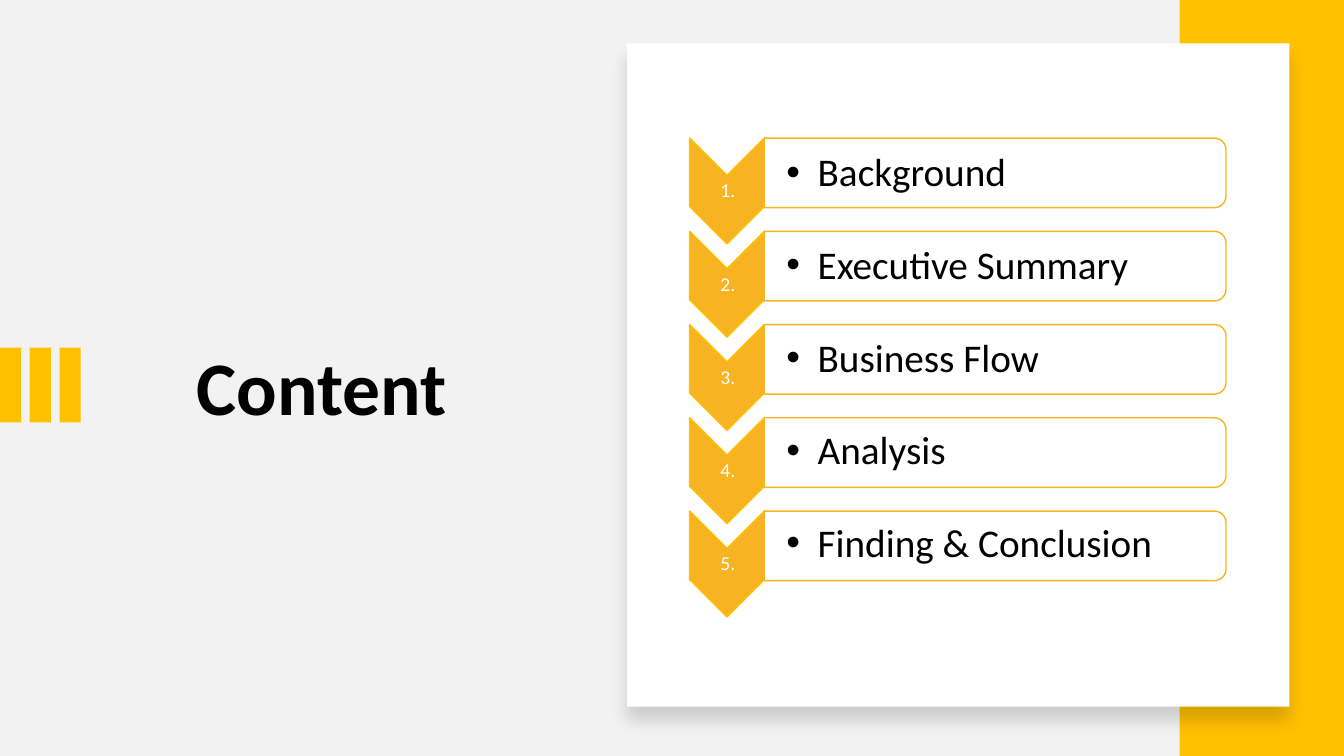
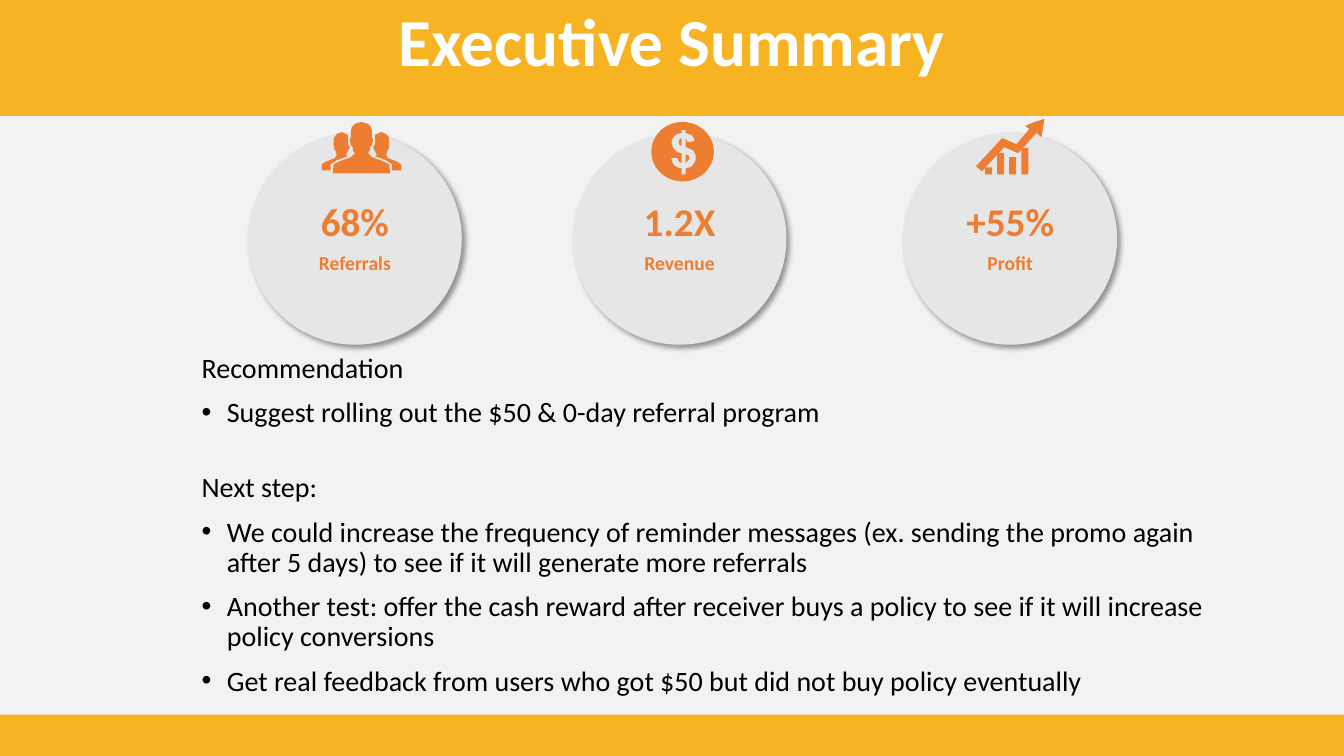
from dataclasses import dataclass

from lxml import etree
from pptx import Presentation
from pptx.dml.color import RGBColor
from pptx.enum.shapes import MSO_SHAPE
from pptx.enum.text import MSO_ANCHOR, MSO_AUTO_SIZE, PP_ALIGN
from pptx.oxml.ns import qn
from pptx.util import Inches, Pt

RECT, OVAL = MSO_SHAPE.RECTANGLE, MSO_SHAPE.OVAL
CHEVRON, TAB = MSO_SHAPE.CHEVRON, MSO_SHAPE.ROUND_2_SAME_RECTANGLE
TOP, MIDDLE = MSO_ANCHOR.TOP, MSO_ANCHOR.MIDDLE
LEFT, CENTER = PP_ALIGN.LEFT, PP_ALIGN.CENTER

FONT = "Calibri"
COLORS = {
    "page": "F2F2F2", "amber": "F8B323", "gold": "FFC000", "orange": "ED7D31",
    "disc": "E7E6E6", "white": "FFFFFF", "black": "000000",
}
SLIDE_W, SLIDE_H = 13.33, 7.5
LINE_SPACING = 0.9

Point = tuple[float, float]


@dataclass(frozen=True)
class Box:
    left: float
    top: float
    width: float
    height: float

    def emu(self) -> tuple:
        return tuple(Inches(v) for v in (self.left, self.top, self.width, self.height))

    def turned(self) -> "Box":
        """The frame that covers this box once rotated by a quarter turn."""
        shift = (self.width - self.height) / 2
        return Box(self.left + shift, self.top - shift, self.height, self.width)


@dataclass(frozen=True)
class TextStyle:
    size: float
    color: str
    bold: bool = False


@dataclass(frozen=True)
class Shadow:
    alpha: int
    blur: float
    distance: float
    angle: int


@dataclass(frozen=True)
class Metric:
    value: str
    label: str
    left: float


@dataclass(frozen=True)
class Note:
    text: str
    bulleted: bool = True
    space_before: float = 10


AGENDA = ["Background", "Executive Summary", "Business Flow", "Analysis",
          "Finding & Conclusion"]
METRICS = [
    Metric("68%", "Referrals", 2.46),
    Metric("1.2X", "Revenue", 5.68),
    Metric("+55%", "Profit", 8.96),
]
NOTES = [
    Note("Recommendation", bulleted=False),
    Note("Suggest rolling out the $50 & 0-day referral program"),
    Note("Next step:", bulleted=False, space_before=32),
    Note("We could increase the frequency of reminder messages (ex. sending the "
         "promo again after 5 days) to see if it will generate more referrals"),
    Note("Another test: offer the cash reward after receiver buys a policy to see "
         "if it will increase policy conversions"),
    Note("Get real feedback from users who got $50 but did not buy policy eventually"),
]

CARD_SHADOW = Shadow(15, 11, 10, 90)
DISC_SHADOW = Shadow(40, 4, 3, 45)

# Icon outlines, in inches on the slide
PEOPLE_AXIS = 3.585
FRONT_PERSON_HALF = [
    (3.58, 1.21), (3.52, 1.23), (3.49, 1.26), (3.48, 1.3), (3.48, 1.36),
    (3.47, 1.39), (3.48, 1.44), (3.5, 1.46), (3.5, 1.49), (3.52, 1.52),
    (3.48, 1.56), (3.37, 1.6), (3.31, 1.63), (3.3, 1.72),
]
SIDE_PERSON = [
    (3.45, 1.39), (3.45, 1.34), (3.43, 1.33), (3.39, 1.31), (3.34, 1.33),
    (3.31, 1.37), (3.31, 1.45), (3.32, 1.49), (3.33, 1.5), (3.34, 1.54),
    (3.32, 1.57), (3.24, 1.6), (3.19, 1.63), (3.19, 1.69), (3.28, 1.69),
    (3.28, 1.63), (3.34, 1.59), (3.45, 1.55), (3.43, 1.54), (3.45, 1.5),
    (3.47, 1.46), (3.45, 1.43),
]
DOLLAR_SIGN = [
    [(6.87, 1.64), (6.84, 1.66), (6.8, 1.67), (6.8, 1.73), (6.76, 1.73),
     (6.76, 1.67), (6.72, 1.66), (6.69, 1.64), (6.67, 1.61), (6.66, 1.57),
     (6.72, 1.57), (6.73, 1.6), (6.76, 1.62), (6.76, 1.52), (6.72, 1.51),
     (6.69, 1.48), (6.67, 1.45), (6.66, 1.41), (6.67, 1.38), (6.69, 1.35),
     (6.72, 1.33), (6.76, 1.32), (6.76, 1.29), (6.8, 1.29), (6.8, 1.32),
     (6.86, 1.34), (6.88, 1.37), (6.89, 1.4), (6.82, 1.41), (6.8, 1.37),
     (6.8, 1.46), (6.85, 1.48), (6.88, 1.5), (6.9, 1.54), (6.9, 1.59)],
    [(6.76, 1.37), (6.74, 1.38), (6.73, 1.41), (6.74, 1.44), (6.76, 1.45)],
    [(6.8, 1.53), (6.8, 1.62), (6.82, 1.6), (6.84, 1.57), (6.83, 1.54)],
]
TREND_ARROW = [
    (10.26, 1.21), (10.17, 1.25), (10.21, 1.28), (10.08, 1.43), (9.94, 1.37),
    (9.68, 1.65), (9.74, 1.7), (9.96, 1.46), (10.1, 1.52), (10.28, 1.32),
    (10.33, 1.36), (10.36, 1.18),
]
TREND_BAR_HEIGHTS = [0.07, 0.21, 0.17, 0.26]


def rgb(name: str) -> RGBColor:
    return RGBColor.from_string(COLORS[name])


def paint(shape, fill: str, line: str | None = None) -> None:
    shape.shadow.inherit = False
    shape.fill.solid()
    shape.fill.fore_color.rgb = rgb(fill)
    if line:
        shape.line.color.rgb = rgb(line)
        shape.line.width = Pt(1)
    else:
        shape.line.fill.background()


def add_shape(slide, kind, box: Box, fill: str, line: str | None = None):
    shape = slide.shapes.add_shape(kind, *box.emu())
    paint(shape, fill, line)
    return shape


def add_turned_shape(slide, kind, box: Box, fill: str, line: str) -> None:
    add_shape(slide, kind, box.turned(), fill, line).rotation = 90


def add_outline(slide, contours: list[list[Point]], fill: str) -> None:
    """Draw closed contours as one shape; inner contours are holes."""
    paths = [[(Inches(x), Inches(y)) for x, y in contour] for contour in contours]
    builder = slide.shapes.build_freeform(*paths[0][0])
    builder.add_line_segments(paths[0][1:])
    for path in paths[1:]:
        builder.move_to(*path[0])
        builder.add_line_segments(path[1:])
    paint(builder.convert_to_shape(), fill)


def mirrored(points: list[Point], axis: float) -> list[Point]:
    return [(2 * axis - x, y) for x, y in points]


def cast_shadow(shape, shadow: Shadow) -> None:
    effects = shape._element.spPr.find(qn("a:effectLst"))
    outer = etree.SubElement(
        effects, qn("a:outerShdw"), blurRad=str(Pt(shadow.blur)),
        dist=str(Pt(shadow.distance)), dir=str(shadow.angle * 60000),
        algn="ctr", rotWithShape="0")
    color = etree.SubElement(outer, qn("a:srgbClr"), val=COLORS["black"])
    etree.SubElement(color, qn("a:alpha"), val=str(shadow.alpha * 1000))


def prepare_frame(shape, anchor, insets=(0.1, 0.05, 0.1, 0.05)):
    frame = shape.text_frame
    frame.word_wrap = True
    frame.auto_size = MSO_AUTO_SIZE.NONE
    frame.vertical_anchor = anchor
    (frame.margin_left, frame.margin_top,
     frame.margin_right, frame.margin_bottom) = map(Inches, insets)
    return frame


def add_paragraph(frame, text: str, style: TextStyle, align=LEFT,
                  before: float = 0, after: float = 0, spacing: float = LINE_SPACING):
    """Fill the frame's first paragraph if it is still empty, else add one."""
    first = frame.paragraphs[0]
    paragraph = frame.add_paragraph() if first.runs else first
    paragraph.alignment = align
    paragraph.line_spacing = spacing
    paragraph.space_before, paragraph.space_after = Pt(before), Pt(after)
    run = paragraph.add_run()
    run.text = text
    run.font.name, run.font.size, run.font.bold = FONT, Pt(style.size), style.bold
    run.font.color.rgb = rgb(style.color)
    return paragraph


def set_bullet(paragraph, indent: float) -> None:
    """Hang a bullet by the indent; an indent of 0 removes the bullet."""
    props = paragraph._p.get_or_add_pPr()
    props.set("marL", str(Inches(indent)))
    props.set("indent", str(-Inches(indent)))
    if indent:
        etree.SubElement(props, qn("a:buFont"), typeface="Arial")
        etree.SubElement(props, qn("a:buChar"), char="•")
    else:
        etree.SubElement(props, qn("a:buNone"))


def place(placeholder, box: Box):
    (placeholder.left, placeholder.top,
     placeholder.width, placeholder.height) = box.emu()
    return placeholder


def add_slide(prs, title: str, title_box: Box, style: TextStyle, anchor, align,
              spacing: float = LINE_SPACING):
    slide = prs.slides.add_slide(prs.slide_layouts[1])
    frame = prepare_frame(place(slide.shapes.title, title_box), anchor)
    add_paragraph(frame, title, style, align, spacing=spacing)
    return slide


def send_to_front(slide, shape) -> None:
    slide.shapes._spTree.append(shape._element)


def build_content(prs) -> None:
    slide = add_slide(prs, "Content", Box(1.85, 3.42, 3.03, 2.61),
                      TextStyle(54, "black", True), TOP, LEFT)
    for i in range(3):
        add_shape(slide, RECT, Box(0.295 * i, 3.45, 0.21, 0.74), "gold")
    add_shape(slide, RECT, Box(11.7, 0, 1.63, SLIDE_H), "gold")
    cast_shadow(add_shape(slide, RECT, Box(6.22, 0.43, 6.57, 6.58), "white"), CARD_SHADOW)

    first_top, pitch, row_height = 1.37, 0.925, 0.69
    for i in range(len(AGENDA)):
        top = first_top + pitch * i
        add_turned_shape(slide, CHEVRON, Box(6.84, top, 0.74, 1.05), "amber", "gold")
        number = slide.shapes.add_textbox(*Box(6.85, top + 0.37, 0.74, 0.32).emu())
        add_paragraph(prepare_frame(number, MIDDLE, (0.01,) * 4), f"{i + 1}.",
                      TextStyle(14, "white"), CENTER)
        add_turned_shape(slide, TAB, Box(7.58, top, 4.58, row_height), "white", "amber")

    # One list spans all rows; its spacing fills the pitch left by a text line
    size = 28
    gap = round(pitch * 72 - size * 1.22 * LINE_SPACING, 1)
    list_height = pitch * (len(AGENDA) - 1) + row_height
    agenda = place(slide.placeholders[1], Box(7.58, first_top, 4.55, list_height))
    frame = prepare_frame(agenda, MIDDLE, (0.22, 0.02, 0.02, 0.02))
    for i, topic in enumerate(AGENDA):
        paragraph = add_paragraph(frame, topic, TextStyle(size, "black"),
                                  before=gap if i else 0)
        set_bullet(paragraph, 0.31)
    send_to_front(slide, agenda)


def add_people_icon(slide) -> None:
    for person in (SIDE_PERSON, mirrored(SIDE_PERSON, PEOPLE_AXIS)):
        add_outline(slide, [person], "orange")
    other_half = mirrored(FRONT_PERSON_HALF, PEOPLE_AXIS)[::-1]
    add_outline(slide, [FRONT_PERSON_HALF + other_half], "orange")


def add_coin_icon(slide) -> None:
    add_shape(slide, OVAL, Box(6.46, 1.21, 0.62, 0.59), "orange")
    add_outline(slide, DOLLAR_SIGN, "disc")


def add_trend_icon(slide) -> None:
    add_outline(slide, [TREND_ARROW], "orange")
    for i, height in enumerate(TREND_BAR_HEIGHTS):
        add_shape(slide, RECT, Box(9.77 + 0.12 * i, 1.73 - height, 0.07, height), "orange")


def build_summary(prs) -> None:
    slide = add_slide(prs, "Executive Summary", Box(0, -0.37, SLIDE_W, 1.52),
                      TextStyle(48, "white", True), MIDDLE, CENTER, spacing=1.0)
    paint(slide.shapes.title, "amber")
    notes = place(slide.placeholders[1], Box(1.9, 3.34, 10.44, 3.75))
    frame = prepare_frame(notes, MIDDLE)
    for note in NOTES:
        paragraph = add_paragraph(frame, note.text, TextStyle(20, "black"),
                                  before=note.space_before)
        set_bullet(paragraph, 0.25 if note.bulleted else 0)
    add_shape(slide, RECT, Box(0, 7.09, SLIDE_W, 0.41), "amber")

    for metric in METRICS:
        disc = add_shape(slide, OVAL, Box(metric.left, 1.32, 2.12, 2.1), "disc")
        cast_shadow(disc, DISC_SHADOW)
        frame = prepare_frame(disc, MIDDLE)
        for text, size in ((metric.value, 28), (metric.label, 14)):
            add_paragraph(frame, text, TextStyle(size, "orange", True), CENTER, after=6)
    add_people_icon(slide)
    add_coin_icon(slide)
    add_trend_icon(slide)


def main() -> None:
    prs = Presentation()
    prs.slide_width, prs.slide_height = Inches(SLIDE_W), Inches(SLIDE_H)
    background = prs.slide_master.background.fill
    background.solid()
    background.fore_color.rgb = rgb("page")
    build_content(prs)
    build_summary(prs)
    prs.save("out.pptx")


if __name__ == "__main__":
    main()
